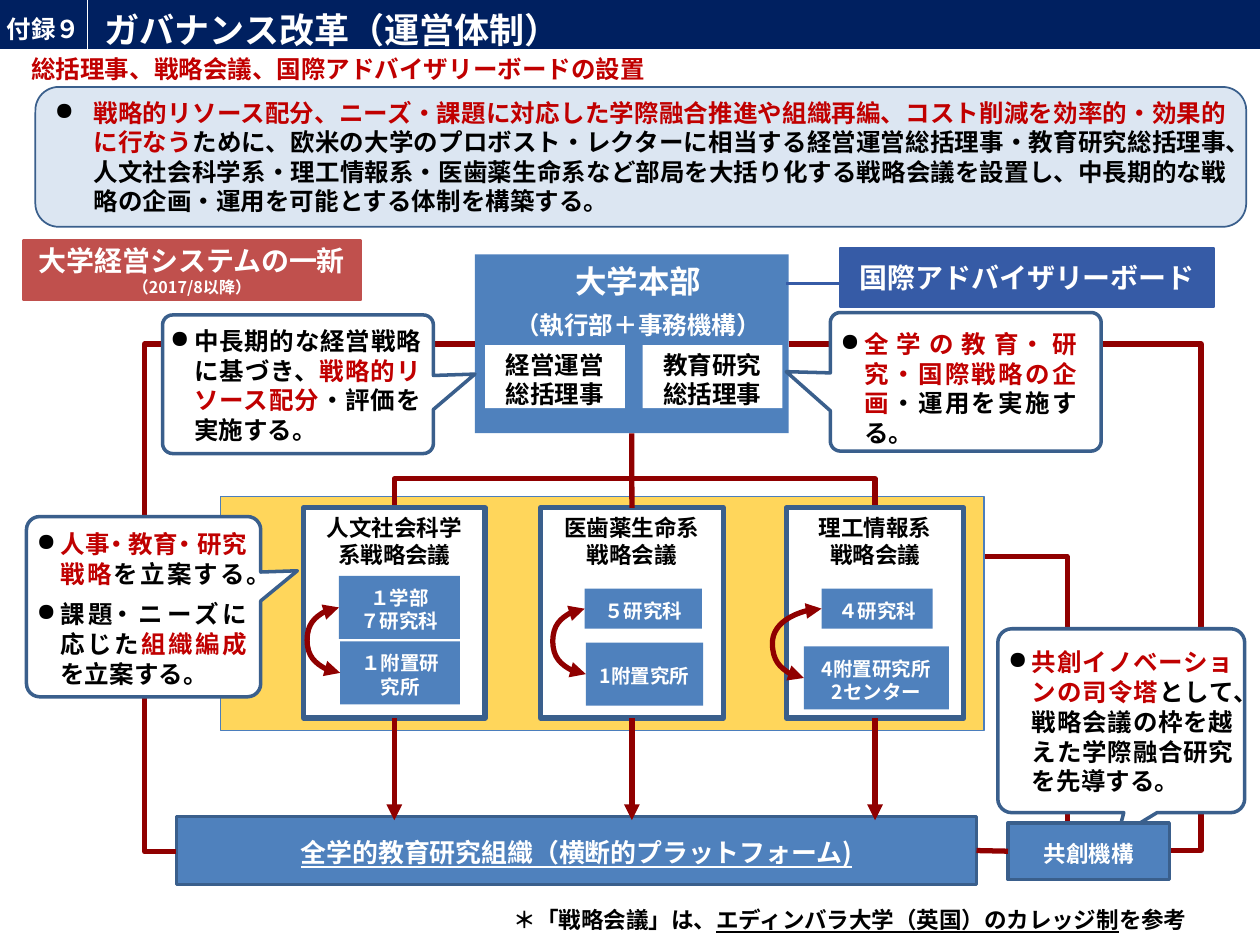
from dataclasses import dataclass
from math import cos, radians, sin

from lxml.etree import SubElement
from pptx import Presentation
from pptx.dml.color import RGBColor
from pptx.enum.shapes import MSO_CONNECTOR, MSO_SHAPE
from pptx.enum.text import MSO_ANCHOR, MSO_AUTO_SIZE, PP_ALIGN
from pptx.oxml.ns import qn
from pptx.util import Pt


@dataclass(frozen=True)
class Theme:
    font: str = "Noto Sans CJK JP"
    navy: str = "002060"
    blue: str = "4F81BD"
    edge: str = "3A5F8C"
    royal: str = "365BA6"
    pale: str = "DCE6F2"
    yellow: str = "FFD65B"
    yellow_edge: str = "4B7EBC"
    brick: str = "C0504D"
    link: str = "900000"
    red: str = "C00000"
    black: str = "000000"
    white: str = "FFFFFF"
    title: float = 20
    heading: float = 18
    label: float = 16
    platform: float = 14.8
    body: float = 14
    council: float = 12.9
    unit: float = 11.1
    small: float = 9.2


THEME = Theme()
RED, BLACK, WHITE = THEME.red, THEME.black, THEME.white
BOX_INSETS = (7.2, 5.8, 7.2, 3.6)
PLAIN_INSETS = (7.2, 3.6, 7.2, 3.6)
BUBBLE_INSETS = (0, 2.9, 0, 0)
TIGHT = -3.5


def rgb(color):
    return RGBColor.from_string(color)


def style(span, size, color, underline=None, spacing=0):
    font = span.font
    font.size, font.bold, font.name, font.underline = Pt(size), True, THEME.font, underline
    font.color.rgb = rgb(color)
    properties = span._r.get_or_add_rPr()
    SubElement(properties, qn("a:ea"), typeface=THEME.font)
    if spacing:
        properties.set("spc", str(round(spacing * 100)))


def add_spans(para, spans):
    """Add runs given as (text, size, color, underline, spacing); the last two are optional."""
    for text, *look in spans:
        span = para.add_run()
        span.text = text
        style(span, *look)


def set_frame(shape, insets=PLAIN_INSETS, anchor=MSO_ANCHOR.MIDDLE, wrap=True):
    frame = shape.text_frame
    frame.word_wrap, frame.vertical_anchor = wrap, anchor
    frame.auto_size = MSO_AUTO_SIZE.NONE
    frame.margin_left, frame.margin_top, frame.margin_right, frame.margin_bottom = map(Pt, insets)
    return frame


def write(shape, text, size, color, align=PP_ALIGN.CENTER, underline=None, **layout):
    frame = set_frame(shape, **layout)
    frame.text = text
    for para in frame.paragraphs:
        para.alignment = align
        for span in para.runs:
            style(span, size, color, underline)


def add_bullet(para, indent):
    properties = para._p.get_or_add_pPr()
    properties.set("marL", str(Pt(indent)))
    properties.set("indent", str(-Pt(indent)))
    SubElement(SubElement(properties, qn("a:buClr")), qn("a:srgbClr"), val=BLACK)
    SubElement(properties, qn("a:buChar"), char="●")


def paint(shape, fill, line=None, width=2):
    shape.shadow.inherit = False
    shape.fill.solid()
    shape.fill.fore_color.rgb = rgb(fill)
    if line:
        shape.line.color.rgb, shape.line.width = rgb(line), Pt(width)
    else:
        shape.line.fill.background()


def add_box(page, box, fill, line=None, width=2, kind=MSO_SHAPE.RECTANGLE):
    shape = page.shapes.add_shape(kind, *map(Pt, box))
    paint(shape, fill, line, width)
    return shape


def add_text(page, box):
    return page.shapes.add_textbox(*map(Pt, box))


def add_link(page, start, end, color=THEME.link, width=3, kind=MSO_CONNECTOR.STRAIGHT, heads=()):
    link = page.shapes.add_connector(kind, *map(Pt, (*start, *end)))
    link.line.color.rgb, link.line.width = rgb(color), Pt(width)
    for head in heads:
        SubElement(link.line._get_or_add_ln(), qn(f"a:{head}"), type="triangle")
    SubElement(link.element.spPr, qn("a:effectLst"))
    return link


def add_corner(page, start, end):
    """Run level from start, then turn once to end."""
    link = add_link(page, start, end, kind=MSO_CONNECTOR.ELBOW)
    link.element.spPr.find(qn("a:prstGeom")).set("prst", "bentConnector2")


def add_detour(page, start, end, bend, **look):
    """Leave and return level, with the upright part at x = bend."""
    link = add_link(page, start, end, **look)
    geometry = link.element.spPr.find(qn("a:prstGeom"))
    guides = geometry.find(qn("a:avLst"))
    if guides is None:
        guides = SubElement(geometry, qn("a:avLst"))
    ratio = round((bend - start[0]) / (end[0] - start[0]) * 100000)
    SubElement(guides, qn("a:gd"), name="adj1", fmla=f"val {ratio}")


def header(page, box):
    left, top, width, height = box
    title = page.shapes.title
    bar = add_box(page, box, THEME.navy)
    title.element.addprevious(bar.element)
    add_link(page, (left + 49.7, top), (left + 49.7, top + height), WHITE, 0.5)
    title.left, title.top, title.width, title.height = map(Pt, (left + 59.8, top + 0.7, 640.8, height))
    write(title, "ガバナンス改革（運営体制）", THEME.title, WHITE, PP_ALIGN.LEFT,
          insets=(0, 7.2, 0, 0), wrap=False)
    title.text_frame.paragraphs[0].line_spacing = 0.9
    write(add_text(page, (left - 9.4, top, 68.4, 27.4)), "付録９", THEME.body, WHITE,
          insets=(7.2, 8.6, 7.2, 3.6))


def lead(page, box):
    left, top, *_ = box
    write(add_text(page, (left - 9.4, top - 22.3, 367.9, 24.5)),
          "総括理事、戦略会議、国際アドバイザリーボードの設置", THEME.body, RED,
          PP_ALIGN.JUSTIFY, anchor=MSO_ANCHOR.TOP, wrap=False)
    panel = add_box(page, box, THEME.pale, THEME.edge, 1, MSO_SHAPE.ROUNDED_RECTANGLE)
    para = set_frame(panel).paragraphs[0]
    para.alignment = PP_ALIGN.JUSTIFY
    add_bullet(para, 22.3)
    add_spans(para, [
        ("戦略的リソース配分、ニーズ・課題に対応した学際融合推進や組織再編、コスト削減を効率的・効果的に行なう",
         THEME.body, RED),
        ("ために、欧米の大学のプロボスト・レクターに相当する経営運営総括理事・教育研究総括理事、"
         "人文社会科学系・理工情報系・医歯薬生命系など部局を大括り化する戦略会議を設置し、"
         "中長期的な戦略の企画・運用を可能とする体制を構築する。", THEME.body, BLACK)])


def headquarters(page, box):
    left, top, *_ = box
    office = add_box(page, box, THEME.blue)
    for offset, name in ((5.8, "経営運営\n総括理事"), (95.8, "教育研究\n総括理事")):
        member = add_box(page, (left + offset, top + 51.9, 79.9, 36), WHITE)
        write(member, name, THEME.body, BLACK, insets=(7.2, 5.8, 7.2, 2.9))
    frame = set_frame(add_text(page, (left + 13.7, top + 5.8, 159.1, 43.2)), BUBBLE_INSETS)
    lines = (("大学本部", THEME.heading), ("（執行部＋事務機構）", THEME.body))
    for index, (text, size) in enumerate(lines):
        para = frame.add_paragraph() if index else frame.paragraphs[0]
        para.alignment, para.line_spacing, para.space_after = PP_ALIGN.CENTER, Pt(17), Pt(6)
        add_spans(para, [(text, size, WHITE)])
    return office


def council(page, box, name, units):
    """Draw a council with its two units, given as (text, box within the council)."""
    left, top, *_ = box
    panel = add_box(page, box, WHITE, THEME.edge, 3)
    write(panel, name, THEME.council, BLACK, anchor=MSO_ANCHOR.TOP)
    ends = []
    for text, (x, y, width, height) in units:
        unit = add_box(page, (left + x, top + y, width, height), THEME.blue)
        write(unit, text, THEME.unit, WHITE, insets=BOX_INSETS)
        ends.append((left + x, top + y + height / 2))
    add_detour(page, *ends, bend=min(x for x, _ in ends) - 18,
               kind=MSO_CONNECTOR.CURVE, heads=("headEnd", "tailEnd"))
    return panel


def bubble(page, box, radius, side, tail, text_box, items):
    """Draw a speech bubble; side counts clockwise from the top, tail and text_box are within box."""
    left, top, width, height = box
    centers = ((radius, radius), (width - radius, radius),
               (width - radius, height - radius), (radius, height - radius))
    points = []
    for corner, (x, y) in enumerate(centers):
        for angle in range(180 + 90 * corner, 271 + 90 * corner, 15):
            points.append((x + radius * cos(radians(angle)), y + radius * sin(radians(angle))))
        if corner == side:
            points += tail
    first, *rest = [(Pt(left + x), Pt(top + y)) for x, y in points]
    builder = page.shapes.build_freeform(*first)
    builder.add_line_segments(rest, close=True)
    paint(builder.convert_to_shape(), WHITE, THEME.edge)

    x, y, *size = text_box
    frame = set_frame(add_text(page, (left + x, top + y, *size)), BUBBLE_INSETS)
    for index, spans in enumerate(items):
        para = frame.add_paragraph() if index else frame.paragraphs[0]
        para.alignment, para.line_spacing, para.space_after = PP_ALIGN.JUSTIFY, Pt(17), Pt(6)
        add_bullet(para, 13.7)
        add_spans(para, [(text, THEME.body, color, None, *spacing) for text, color, *spacing in spans])


def governance_chart(page):
    add_corner(page, (558, 318.2), (609.8, 499))
    add_box(page, (126, 283.7, 436.3, 133.9), THEME.yellow, THEME.yellow_edge, 0.75)
    add_corner(page, (382.3, 273.6), (225.4, 290.2))
    add_corner(page, (344.9, 273.6), (500, 290.2))
    office = headquarters(page, (271.4, 145.4, 179.3, 102.2))
    platform = add_box(page, (100.8, 466.6, 457.2, 38.9), THEME.blue, THEME.edge)
    write(platform, "全学的教育研究組織（横断的プラットフォーム)", THEME.platform, WHITE,
          underline=True, insets=BOX_INSETS)
    councils = (
        (173.5, 103.7, "人文社会科学系戦略会議",
         (("１学部\n７研究科", (20.2, 38.9, 69.1, 36)), ("１附置研究所", (20.9, 76.3, 68.4, 36)))),
        (308.9, 104.4, "医歯薬生命系\n戦略会議",
         (("５研究科", (25.2, 46.1, 67, 23)), ("1附置究所", (25.9, 77, 67, 36)))),
        (449.3, 101.5, "理工情報系\n戦略会議",
         (("４研究科", (20.2, 46.1, 63.4, 23)), ("4附置研究所\n2センター", (10.1, 79.2, 82.8, 36)))))
    panels = []
    for left, width, name, units in councils:
        panel = council(page, (left, 290.2, width, 120.2), name, units)
        center = left + width / 2
        arrow = add_link(page, (center, 410.4), (center, 468.7), heads=("tailEnd",))
        arrow.begin_connect(panel, 2)
        panels.append(panel)
    stem = add_link(page, (361, 247.6), (361, 290.2))
    stem.begin_connect(office, 2)
    stem.end_connect(panels[1], 0)
    add_detour(page, (271.4, 196.6), (100.8, 486.7), 82.8, kind=MSO_CONNECTOR.ELBOW)
    add_detour(page, (450.7, 196.6), (668.2, 486), 686.2, kind=MSO_CONNECTOR.ELBOW)
    return platform


def bubbles(page):
    bubble(page, (15.1, 295.2, 133.9, 103), 7.6, 1, [(133.9, 31.7), (154.8, 31), (133.9, 48.2)],
           (5.8, 3.6, 120.2, 95),
           [[("人", RED), ("事・", RED, TIGHT), ("教", RED), ("育・", RED, TIGHT),
             ("研究戦略", RED), ("を立案する。", BLACK)],
            [("課", BLACK), ("題・", BLACK, TIGHT), ("ニーズに応じた", BLACK),
             ("組織編成", RED), ("を立案する。", BLACK)]])
    bubble(page, (92.9, 180, 154.8, 79.2), 5.8, 1, [(154.8, 34.6), (178.5, 33.8), (154.8, 54)],
           (4.3, 2.9, 143.3, 71.3),
           [[("中長期的な経営戦略に基づき、", BLACK), ("戦略的リソース配分", RED),
             ("・評価を実施する。", BLACK)]])
    bubble(page, (474.5, 178.6, 154.8, 79.2), 5.8, 3, [(0, 56.1), (-25.2, 33.8), (0, 34.5)],
           (5.7, 14.4, 135.4, 54.7),
           [[("全学の教", RED), ("育・", RED, TIGHT), ("研究・国際戦略の企画", RED),
             ("・運用を実施する。", BLACK)]])
    bubble(page, (570.2, 359.3, 141.1, 105.1), 8, 2, [(91, 105.1), (68.4, 118.8), (72, 105.1)],
           (5.8, 7.2, 128.9, 88.6),
           [[("共創イノベーションの司令塔", RED),
             ("として、戦略会議の枠を越えた学際融合研究を先導する。", BLACK)]])


def labels(page, platform):
    reform = add_box(page, (13.7, 137.5, 192.2, 33.8), THEME.brick, THEME.brick)
    para = set_frame(reform).paragraphs[0]
    para.alignment = PP_ALIGN.CENTER
    add_spans(para, [("大学経営システムの一新", THEME.label, WHITE), ("（2017/8以降）", THEME.small, WHITE)])
    board = add_box(page, (480.2, 141.8, 213.8, 33.8), THEME.royal, THEME.royal, 1)
    write(board, "国際アドバイザリーボード", THEME.label, WHITE)
    add_link(page, (449.3, 162), (483.1, 162), THEME.royal, 2.25)
    hub = add_box(page, (576, 470.2, 92.2, 32.4), THEME.blue, THEME.edge)
    write(hub, "共創機構", THEME.council, WHITE, insets=BOX_INSETS)
    bridge = add_link(page, (558, 486), (576, 486))
    bridge.begin_connect(platform, 3)
    bridge.end_connect(hub, 1)
    note = set_frame(add_text(page, (286.6, 514.1, 404.6, 23)), anchor=MSO_ANCHOR.TOP, wrap=False)
    add_spans(note.paragraphs[0], [
        ("＊「戦略会議」は、", THEME.council, BLACK),
        ("エディンバラ大学（英国）のカレッジ制", THEME.council, BLACK, True),
        ("を参考", THEME.council, BLACK)])


def main():
    deck = Presentation()
    deck.slide_width, deck.slide_height = Pt(720), Pt(540)
    page = deck.slides.add_slide(deck.slide_layouts[5])
    header(page, (0, 0, 720, 28))
    platform = governance_chart(page)
    bubbles(page)
    lead(page, (20.2, 49.7, 691.9, 79.9))
    labels(page, platform)
    deck.save("out.pptx")


if __name__ == "__main__":
    main()
